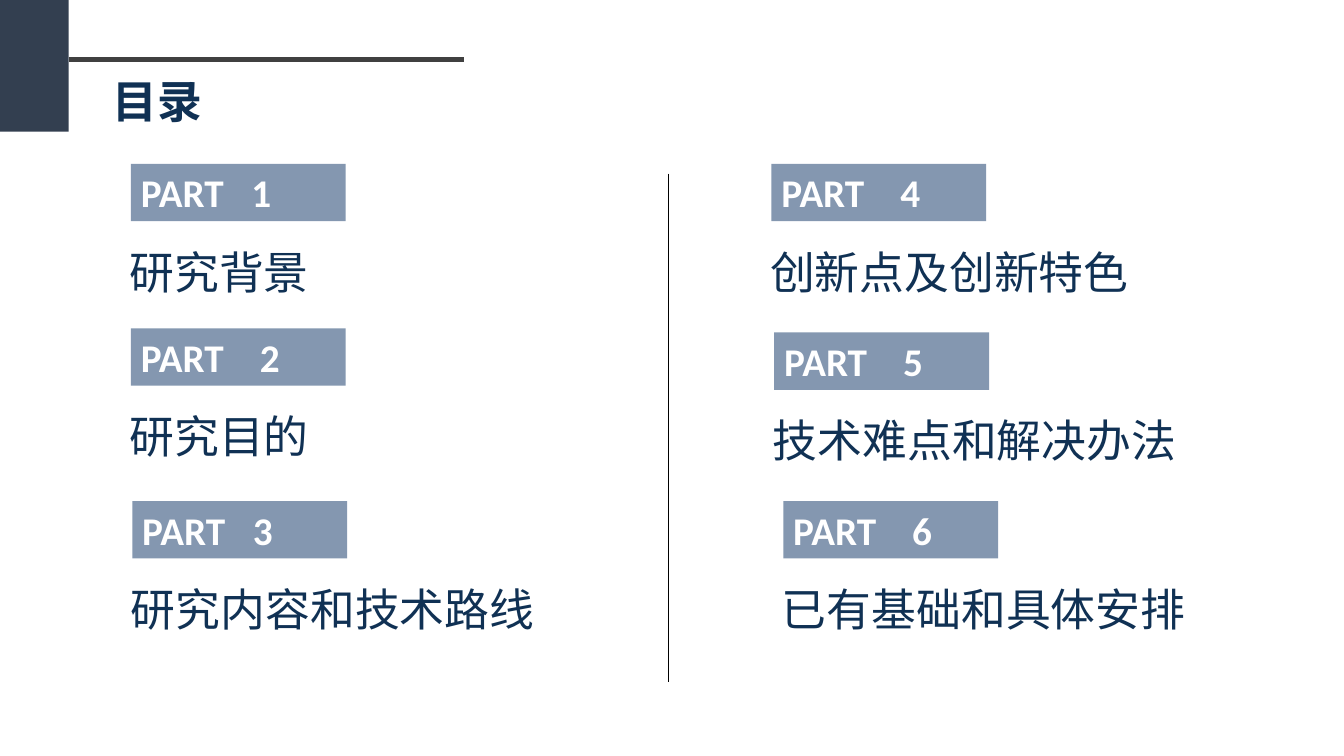
"""Build a contents slide listing six numbered parts in two columns."""
import pptx
import pptx.util
import pptx.dml.color
import pptx.enum.shapes
import pptx.enum.text
import pptx.oxml
import pptx.oxml.ns

Pt = pptx.util.Pt
TITLE = "目录"
PARTS = [
    {"number": 1, "label": "研究背景", "left": 93.5, "top": 117, "tab": 79},
    {"number": 2, "label": "研究目的", "left": 93.5, "top": 234.5, "tab": 85},
    {"number": 3, "label": "研究内容和技术路线", "left": 94.5, "top": 358, "tab": 79},
    {"number": 4, "label": "创新点及创新特色", "left": 551, "top": 117, "tab": 85},
    {"number": 5, "label": "技术难点和解决办法", "left": 553, "top": 237.5, "tab": 85},
    {"number": 6, "label": "已有基础和具体安排", "left": 559.5, "top": 358, "tab": 85},
]
LINES = [
    {"ends": (477.5, 124, 477.5, 487), "color": "divider", "width": 1},
    {"ends": (49, 42.5, 331.5, 42.5), "color": "rule", "width": 3},
]
COLORS = {"corner": "333F50", "badge": "8497B0", "text": "103154",
          "white": "FFFFFF", "divider": "000000", "rule": "404040"}
CJK_FONT = "Noto Sans CJK SC"
FORMATS = {
    "title": {"name": "Calibri", "size": Pt(32), "bold": True},
    "badge": {"name": "Calibri", "size": Pt(28), "bold": True},
    "label": {"name": CJK_FONT, "size": Pt(32), "bold": False},
}
BADGE_SIZE = (153.5, 41)
LABEL_SIZE = (327, 53)
LABEL_OFFSET = (-8, 42.5)


def color(name):
    return pptx.dml.color.RGBColor.from_string(COLORS[name])


def write(shape, text, style, color_name, wrap=True):
    frame = shape.text_frame
    settings = {"word_wrap": wrap, "vertical_anchor": pptx.enum.text.MSO_ANCHOR.TOP,
                "auto_size": pptx.enum.text.MSO_AUTO_SIZE.SHAPE_TO_FIT_TEXT}
    for key, value in settings.items():
        setattr(frame, key, value)
    paragraph = frame.paragraphs[0]
    paragraph.alignment = pptx.enum.text.PP_ALIGN.LEFT
    run = paragraph.add_run()
    run.text = text
    for key, value in FORMATS[style].items():
        setattr(run.font, key, value)
    run.font.color.rgb = color(color_name)
    properties = run.font._element
    east_asian = pptx.oxml.ns.qn("a:ea")
    properties.append(properties.makeelement(east_asian, {"typeface": CJK_FONT}))
    return paragraph


def add_rectangle(slide, box, color_name):
    kind = pptx.enum.shapes.MSO_SHAPE.RECTANGLE
    shape = slide.shapes.add_shape(kind, *map(Pt, box))
    shape.shadow.inherit = False
    shape.fill.solid()
    shape.fill.fore_color.rgb = color(color_name)
    shape.line.fill.background()
    return shape


def add_line(slide, line):
    kind = pptx.enum.shapes.MSO_CONNECTOR.STRAIGHT
    connector = slide.shapes.add_connector(kind, *map(Pt, line["ends"]))
    connector.line.color.rgb = color(line["color"])
    connector.line.width = Pt(line["width"])
    properties = connector._element.spPr
    properties.append(properties.makeelement(pptx.oxml.ns.qn("a:effectLst"), {}))


def add_part(slide, part):
    left, top = part["left"], part["top"]
    badge = add_rectangle(slide, (left, top, *BADGE_SIZE), "badge")
    paragraph = write(badge, f"PART\t{part['number']}", "badge", "white")
    properties = paragraph._element.get_or_add_pPr()
    tabs = pptx.oxml.parse_xml(
        f'<a:tabLst {pptx.oxml.ns.nsdecls("a")}>'
        f'<a:tab pos="{Pt(part["tab"])}" algn="l"/></a:tabLst>')
    properties.append(tabs)
    box = (left + LABEL_OFFSET[0], top + LABEL_OFFSET[1], *LABEL_SIZE)
    label = slide.shapes.add_textbox(*map(Pt, box))
    write(label, part["label"], "label", "text").line_spacing = 1.3


def main():
    presentation = pptx.Presentation()
    presentation.slide_width, presentation.slide_height = Pt(960), Pt(540)
    slide = presentation.slides.add_slide(presentation.slide_layouts[5])
    title = slide.shapes.title
    title.left, title.top, title.width, title.height = map(Pt, (73.5, 49, 79, 46))
    write(title, TITLE, "title", "text", wrap=False)
    add_rectangle(slide, (0, 0, 49, 94), "corner")
    for line in LINES:
        add_line(slide, line)
    for part in PARTS:
        add_part(slide, part)
    presentation.save("out.pptx")


if __name__ == "__main__":
    main()
